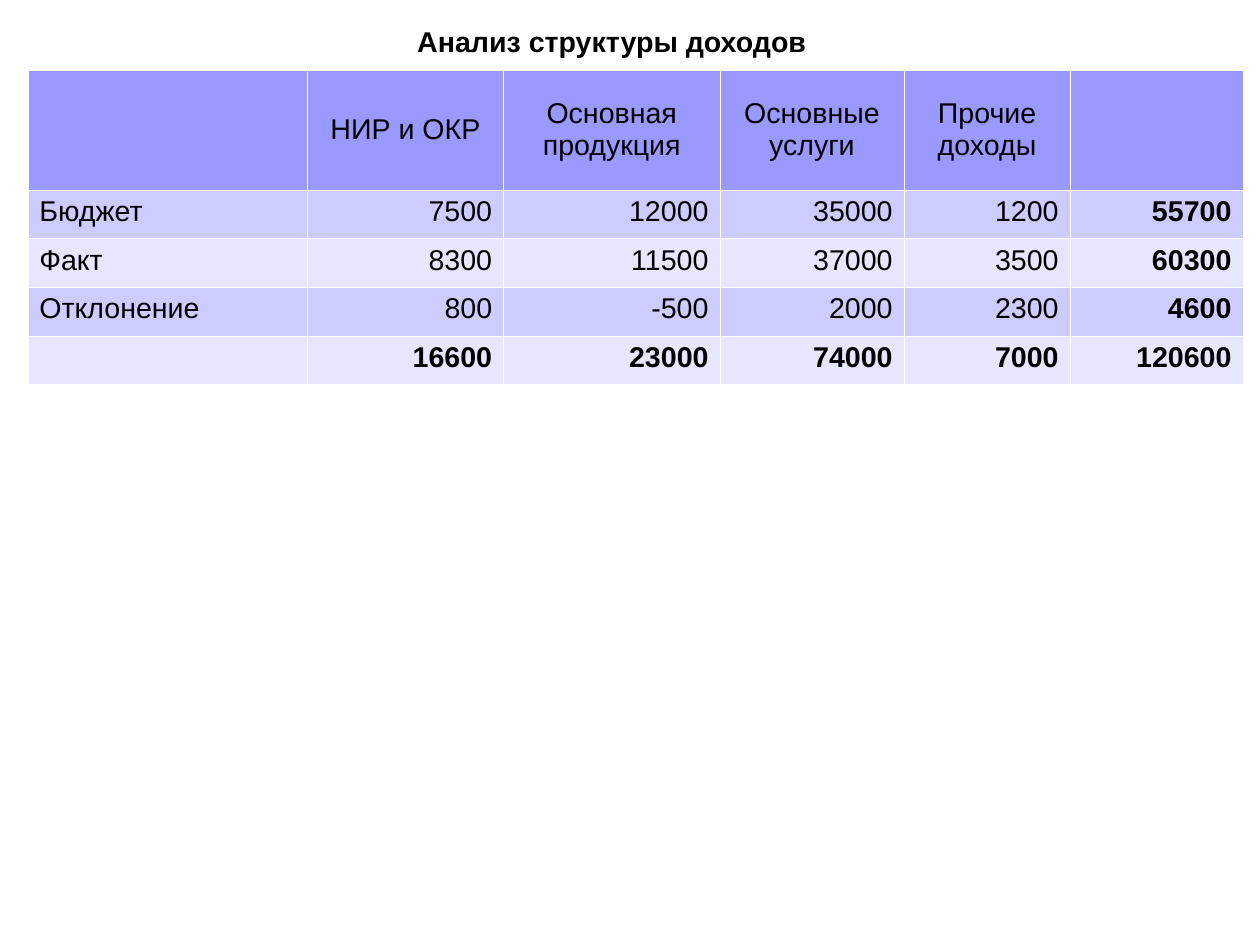
from lxml.etree import SubElement
from pptx import Presentation
from pptx.dml.color import RGBColor
from pptx.enum.text import MSO_ANCHOR as Anchor, MSO_AUTO_SIZE as AutoSize, PP_ALIGN as Align
from pptx.oxml.ns import qn
from pptx.util import Cm, Pt

BLACK = RGBColor(0x00, 0x00, 0x00)
WHITE = RGBColor(0xFF, 0xFF, 0xFF)
HEADER = RGBColor(0x99, 0x99, 0xFF)
BANDS = [RGBColor(0xE6, 0xE6, 0xFF), RGBColor(0xCC, 0xCC, 0xFF)]

# Grid of the table, in centimetres
COLUMNS = [6.21, 4.36, 4.81, 4.09, 3.69, 3.84]
ROWS = [2.66] + [1.08] * 4


def format_text(paragraph, align, bold):
    paragraph.alignment = align
    for run in paragraph.runs:
        run.font.name = "Arial"
        run.font.size = Pt(18)
        run.font.bold = bold
        run.font.color.rgb = BLACK


def add_borders(cell):
    properties = cell._tc.get_or_add_tcPr()
    for side in ("lnL", "lnR", "lnT", "lnB"):
        line = SubElement(properties, qn(f"a:{side}"), w=str(Pt(0.06)))
        fill = SubElement(line, qn("a:solidFill"))
        SubElement(fill, qn("a:srgbClr"), val=str(WHITE))


# Income figures: deviation and totals follow from budget and fact
budget = [7500, 12000, 35000, 1200]
fact = [8300, 11500, 37000, 3500]
deviation = [actual - planned for planned, actual in zip(budget, fact)]
figures = [row + [sum(row)] for row in (budget, fact, deviation)]
totals = [sum(column) for column in zip(*figures)]

income_rows = [["", "НИР и ОКР", "Основная продукция", "Основные услуги", "Прочие доходы", ""]]
for label, values in zip(["Бюджет", "Факт", "Отклонение", ""], figures + [totals]):
    income_rows.append([label] + values)

# Slide
deck = Presentation()
deck.slide_width = Cm(28)
deck.slide_height = Cm(21)
slide = deck.slides.add_slide(deck.slide_layouts[6])

# Income table
income = slide.shapes.add_table(
    len(ROWS), len(COLUMNS), Cm(0.62), Cm(1.56), Cm(sum(COLUMNS)), Cm(sum(ROWS))).table
for column, width in zip(income.columns, COLUMNS):
    column.width = Cm(width)
for row, height in zip(income.rows, ROWS):
    row.height = Cm(height)

for r, values in enumerate(income_rows):
    for c, value in enumerate(values):
        cell = income.cell(r, c)
        add_borders(cell)
        cell.fill.solid()
        cell.fill.fore_color.rgb = BANDS[r % 2] if r else HEADER
        cell.vertical_anchor = Anchor.TOP if r else Anchor.MIDDLE
        cell.text_frame.text = str(value)
        align = Align.CENTER if r == 0 else Align.RIGHT if c else Align.LEFT
        is_total = r == len(ROWS) - 1 or c == len(COLUMNS) - 1
        format_text(cell.text_frame.paragraphs[0], align, is_total)

# Title
title = slide.shapes.add_textbox(Cm(4.4), Cm(0.4), Cm(18.39), Cm(0.97)).text_frame
title.word_wrap = True
title.auto_size = AutoSize.SHAPE_TO_FIT_TEXT
title.text = "Анализ структуры доходов"
format_text(title.paragraphs[0], Align.CENTER, True)

deck.save("out.pptx")
